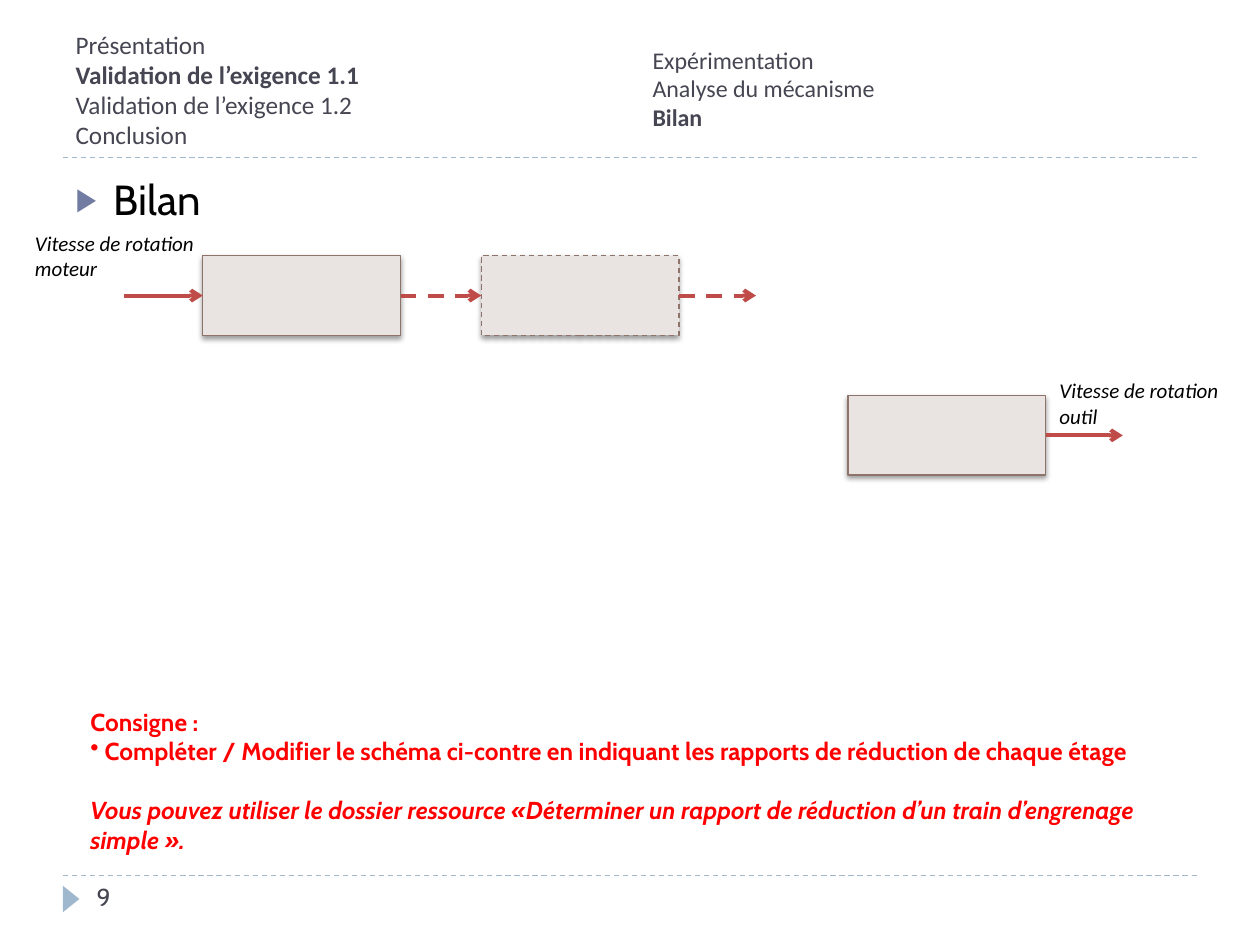
from lxml import etree
from pptx import Presentation
from pptx.dml.color import RGBColor
from pptx.enum.dml import MSO_LINE
from pptx.enum.shapes import MSO_CONNECTOR, MSO_SHAPE
from pptx.enum.text import MSO_ANCHOR, MSO_AUTO_SIZE, PP_ALIGN
from pptx.oxml.ns import qn
from pptx.util import Pt

DASH = MSO_LINE.DASH
STRAIGHT = MSO_CONNECTOR.STRAIGHT
RECTANGLE, TRIANGLE = MSO_SHAPE.RECTANGLE, MSO_SHAPE.ISOSCELES_TRIANGLE
TOP, MIDDLE = MSO_ANCHOR.TOP, MSO_ANCHOR.MIDDLE
LEFT_SIDE, RIGHT_SIDE = 1, 3
COLORS = {
    "rule": "9FB8CD", "heading": "464653", "bullet": "727CA3",
    "text": "000000", "instruction": "FF0000", "stage": "E9E3E1",
    "stage_edge": "8E736A", "arrow": "BF4C48", "shadow": "000000",
}


def color(name):
    return RGBColor.from_string(COLORS[name])


def add_run(paragraph, text, size, font, color_name, bold=False, italic=False):
    run = paragraph.add_run()
    run.text = text
    run.font.size = Pt(size)
    run.font.name = font
    run.font.color.rgb = color(color_name)
    run.font.bold = bold
    run.font.italic = italic


prs = Presentation()
prs.slide_width, prs.slide_height = Pt(720), Pt(540)
slide = prs.slides.add_slide(prs.slide_layouts[1])
shapes = slide.shapes

for y in (500.4, 90):
    rule = shapes.add_connector(STRAIGHT, Pt(36), Pt(y), Pt(684), Pt(y))
    rule.line.color.rgb = color("rule")
    rule.line.width = Pt(0.75)
    rule.line.dash_style = DASH
    etree.SubElement(rule._element.spPr, qn("a:effectLst"))

page_marker = shapes.add_shape(TRIANGLE, Pt(33.1), Pt(509), Pt(15.1), Pt(9.4))
page_marker.rotation = 90
page_marker.shadow.inherit = False
page_marker.fill.solid()
page_marker.fill.fore_color.rgb = color("rule")
page_marker.line.fill.background()

outline = shapes.title
outline.left, outline.top, outline.width, outline.height = Pt(36), Pt(12.2), Pt(318.2), Pt(77.8)
outline.text_frame.auto_size = MSO_AUTO_SIZE.NONE
outline.text_frame.vertical_anchor = MIDDLE
sections = outline.text_frame.paragraphs[0]
sections.alignment = PP_ALIGN.LEFT
for i, section in enumerate(["Présentation", "Validation de l’exigence 1.1",
                             "Validation de l’exigence 1.2", "Conclusion"]):
    if i:
        sections.add_line_break()
    add_run(sections, section, 14.4, "Calibri", "heading", bold=i == 1)

body = slide.placeholders[1]
body.left, body.top, body.width, body.height = Pt(36), Pt(95.8), Pt(648), Pt(388.8)
body.text_frame.auto_size = MSO_AUTO_SIZE.NONE
topic = body.text_frame.paragraphs[0]
topic.space_before = Pt(6)
add_run(topic, "Bilan", 24, "Cabin", "text")
topic_format = topic._p.get_or_add_pPr()
topic_format.set("marL", str(Pt(21.6)))
topic_format.set("indent", str(Pt(-21.6)))
bullet_color = etree.SubElement(topic_format, qn("a:buClr"))
etree.SubElement(bullet_color, qn("a:srgbClr"), val=COLORS["bullet"])
etree.SubElement(topic_format, qn("a:buSzPct"), val="76000")
etree.SubElement(topic_format, qn("a:buChar"), char="▶")

stages = []
for x, y, dashed in [(115.9, 146.2, False), (275, 146.2, True), (484.6, 226.1, False)]:
    stage = shapes.add_shape(RECTANGLE, Pt(x), Pt(y), Pt(113), Pt(45.4))
    stage.fill.solid()
    stage.fill.fore_color.rgb = color("stage")
    stage.line.color.rgb = color("stage_edge")
    stage.line.width = Pt(0.75)
    if dashed:
        stage.line.dash_style = DASH
    stage.shadow.inherit = False
    effects = stage._element.spPr.find(qn("a:effectLst"))
    shadow = etree.SubElement(effects, qn("a:outerShdw"), blurRad=str(Pt(3.1)),
                              dist=str(Pt(1.6)), dir="5400000", rotWithShape="0")
    shadow_color = etree.SubElement(shadow, qn("a:srgbClr"), val=COLORS["shadow"])
    etree.SubElement(shadow_color, qn("a:alpha"), val="38000")
    stages.append(stage)

motor, gearing, tool = stages
for x, y, source, target, dashed in [
    (70.6, 168.9, None, motor, False),
    (228.9, 168.9, motor, gearing, True),
    (388, 168.9, gearing, None, True),
    (597.6, 248.8, tool, None, False),
]:
    arrow = shapes.add_connector(STRAIGHT, Pt(x), Pt(y), Pt(x + 44), Pt(y))
    if source:
        arrow.begin_connect(source, RIGHT_SIDE)
    if target:
        arrow.end_connect(target, LEFT_SIDE)
    arrow.line.color.rgb = color("arrow")
    arrow.line.width = Pt(2.25)
    if dashed:
        arrow.line.dash_style = DASH
    etree.SubElement(arrow.line._get_or_add_ln(), qn("a:tailEnd"), type="arrow")
    etree.SubElement(arrow._element.spPr, qn("a:effectLst"))

instruction = dict(size=14, font="Cabin", color_name="instruction", bold=True)
speed = dict(size=12, font="Calibri", color_name="text", italic=True)
step = dict(size=13.7, font="Calibri", color_name="heading")
notes = [
    (48.2, 500.4, 156.2, 28.8, TOP, [("9", dict(size=14, font="Cabin", color_name="heading"))]),
    (44.6, 400.3, 624.2, 108.7, TOP, [
        ("Consigne :", instruction),
        (" Compléter / Modifier le schéma ci-contre en indiquant les rapports "
         "de réduction de chaque étage", instruction),
        ("Vous pouvez utiliser le dossier ressource «Déterminer un rapport de "
         "réduction d’un train d’engrenage simple ».", dict(instruction, italic=True)),
    ]),
    (12.9, 128.2, 114.5, 36, TOP, [("Vitesse de rotation moteur", speed)]),
    (598.3, 212.4, 114.5, 36, TOP, [("Vitesse de rotation outil", speed)]),
    (365.8, 11.5, 318.2, 77.8, MIDDLE, [
        ("Expérimentation", step),
        ("Analyse du mécanisme", step),
        ("Bilan", dict(step, bold=True)),
    ]),
]
for x, y, width, height, anchor, lines in notes:
    note = shapes.add_textbox(Pt(x), Pt(y), Pt(width), Pt(height)).text_frame
    note.word_wrap = True
    note.vertical_anchor = anchor
    for i, (text, style) in enumerate(lines):
        paragraph = note.add_paragraph() if i else note.paragraphs[0]
        add_run(paragraph, text, **style)
        if style is instruction and i == 1:
            etree.SubElement(paragraph._p.get_or_add_pPr(), qn("a:buChar"), char="•")
        if style.get("bold") and style.get("italic"):
            paragraph.space_before = Pt(17)

prs.save("out.pptx")
